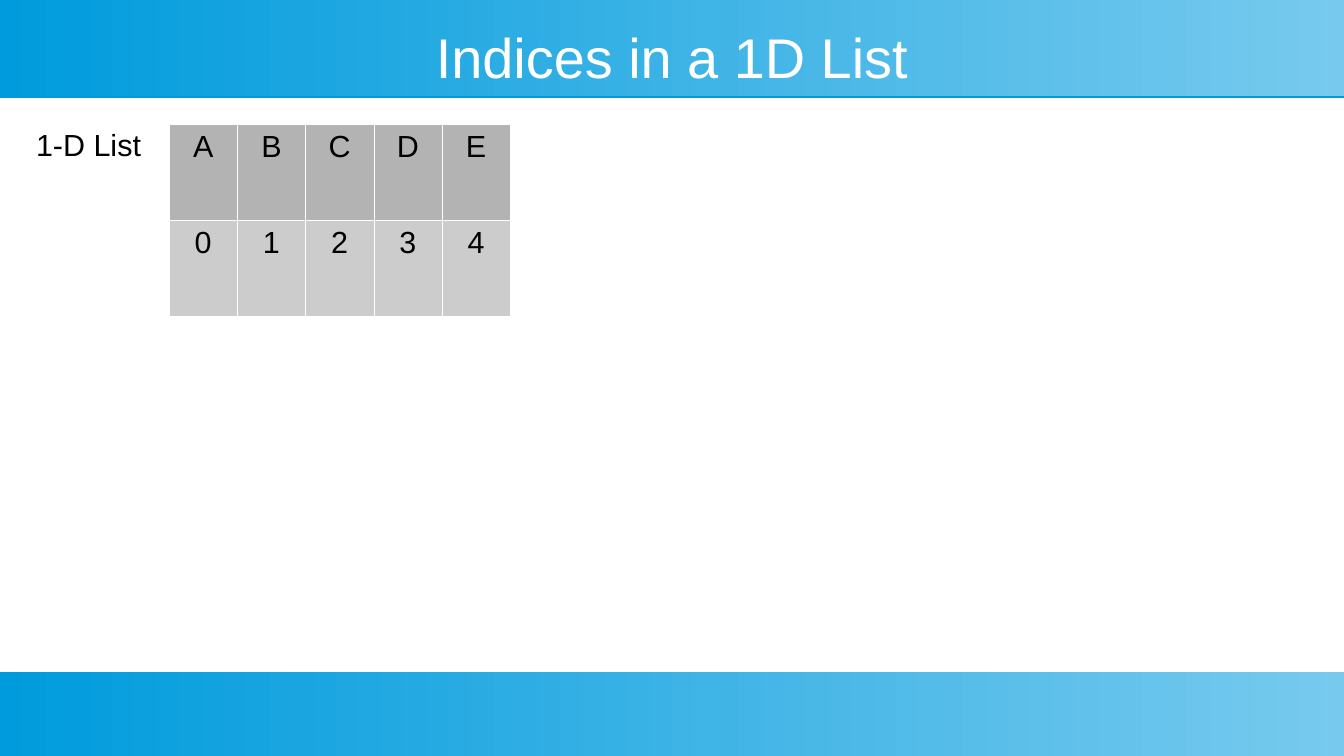
import dataclasses

import pptx
import pptx.dml.color
import pptx.enum.shapes
import pptx.enum.text
import pptx.oxml
import pptx.util

Pt = pptx.util.Pt
ALIGN = pptx.enum.text.PP_ALIGN
ANCHOR = pptx.enum.text.MSO_ANCHOR
NAMESPACE = 'xmlns:a="http://schemas.openxmlformats.org/drawingml/2006/main"'
WIDTH, HEIGHT = 793.44, 446.4
BLUE, LIGHT_BLUE, WHITE, BLACK = "009BDD", "77CAEE", "FFFFFF", "000000"


@dataclasses.dataclass
class Band:
    top: float
    height: float


@dataclasses.dataclass
class Label:
    text: str
    left: float
    top: float
    width: float
    height: float
    size: float
    color: str
    align: ALIGN
    anchor: ANCHOR
    inset_x: float
    inset_y: float


@dataclasses.dataclass
class ListRow:
    values: str
    fill: str


BANDS = [Band(0, 57), Band(396.8, HEIGHT - 396.8)]
LABELS = [
    Label("Indices in a 1D List", 28.2, 14.4, 737, 37.4, 33, WHITE, ALIGN.CENTER, ANCHOR.MIDDLE, 0, 0),
    Label("1-D List", 14.2, 70.8, 127.4, 27.4, 18, BLACK, ALIGN.LEFT, ANCHOR.TOP, 7.2, 3.6),
]
LIST_ROWS = [ListRow("ABCDE", "B3B3B3"), ListRow("01234", "CCCCCC")]
TABLE_LEFT, TABLE_TOP, COLUMN_WIDTH, ROW_HEIGHT = 99.8, 73, 40.3, 56.7


def rgb(value: str) -> pptx.dml.color.RGBColor:
    return pptx.dml.color.RGBColor.from_string(value)


def write(frame, text: str, size: float, color: str, align: ALIGN) -> None:
    para = frame.paragraphs[0]
    para.alignment = align
    span = para.add_run()
    span.text = text
    for name, value in {"name": "Arial", "size": Pt(size)}.items():
        setattr(span.font, name, value)
    span.font.color.rgb = rgb(color)


def draw_band(page, band: Band) -> None:
    """Draw a gradient band with a thin blue shadow under it."""
    shape = page.shapes.add_shape(
        pptx.enum.shapes.MSO_SHAPE.RECTANGLE, 0, Pt(band.top), Pt(WIDTH), Pt(band.height))
    shape.line.fill.background()
    shape.fill.gradient()
    shape.fill.gradient_angle = 0
    for stop, color in zip(shape.fill.gradient_stops, (BLUE, LIGHT_BLUE)):
        stop.color.rgb = rgb(color)
    shape.shadow.inherit = False
    effects = shape._element.spPr.find(pptx.oxml.ns.qn("a:effectLst"))
    effects.append(pptx.oxml.parse_xml(
        f'<a:outerShdw {NAMESPACE} dist="{Pt(0.9)}" dir="5400000" rotWithShape="0">'
        f'<a:srgbClr val="{BLUE}"/></a:outerShdw>'))


def draw_label(page, label: Label) -> None:
    box = page.shapes.add_textbox(
        Pt(label.left), Pt(label.top), Pt(label.width), Pt(label.height))
    settings = {
        "word_wrap": True, "vertical_anchor": label.anchor,
        "margin_left": Pt(label.inset_x), "margin_right": Pt(label.inset_x),
        "margin_top": Pt(label.inset_y), "margin_bottom": Pt(label.inset_y),
    }
    for name, value in settings.items():
        setattr(box.text_frame, name, value)
    write(box.text_frame, label.text, label.size, label.color, label.align)


def draw_cell(cell, text: str, fill: str) -> None:
    write(cell.text_frame, text, 18, BLACK, ALIGN.CENTER)
    cell.fill.solid()
    cell.fill.fore_color.rgb = rgb(fill)
    properties = cell._tc.get_or_add_tcPr()
    for index, side in enumerate(("lnL", "lnR", "lnT", "lnB")):
        properties.insert(index, pptx.oxml.parse_xml(
            f'<a:{side} {NAMESPACE} w="{Pt(0.06)}"><a:solidFill>'
            f'<a:srgbClr val="{WHITE}"/></a:solidFill></a:{side}>'))


def draw_list_table(page, rows: list[ListRow]) -> None:
    columns = len(rows[0].values)
    table = page.shapes.add_table(
        len(rows), columns, Pt(TABLE_LEFT), Pt(TABLE_TOP),
        Pt(columns * COLUMN_WIDTH), Pt(len(rows) * ROW_HEIGHT)).table
    for column in table.columns:
        column.width = Pt(COLUMN_WIDTH)
    for row_index, row in enumerate(rows):
        table.rows[row_index].height = Pt(ROW_HEIGHT)
        for column_index, value in enumerate(row.values):
            draw_cell(table.cell(row_index, column_index), value, row.fill)


def main() -> None:
    deck = pptx.Presentation()
    deck.slide_width, deck.slide_height = Pt(WIDTH), Pt(HEIGHT)
    page = deck.slides.add_slide(deck.slide_layouts[6])
    for band in BANDS:
        draw_band(page, band)
    draw_list_table(page, LIST_ROWS)
    for label in LABELS:
        draw_label(page, label)
    deck.save("out.pptx")


if __name__ == "__main__":
    main()
